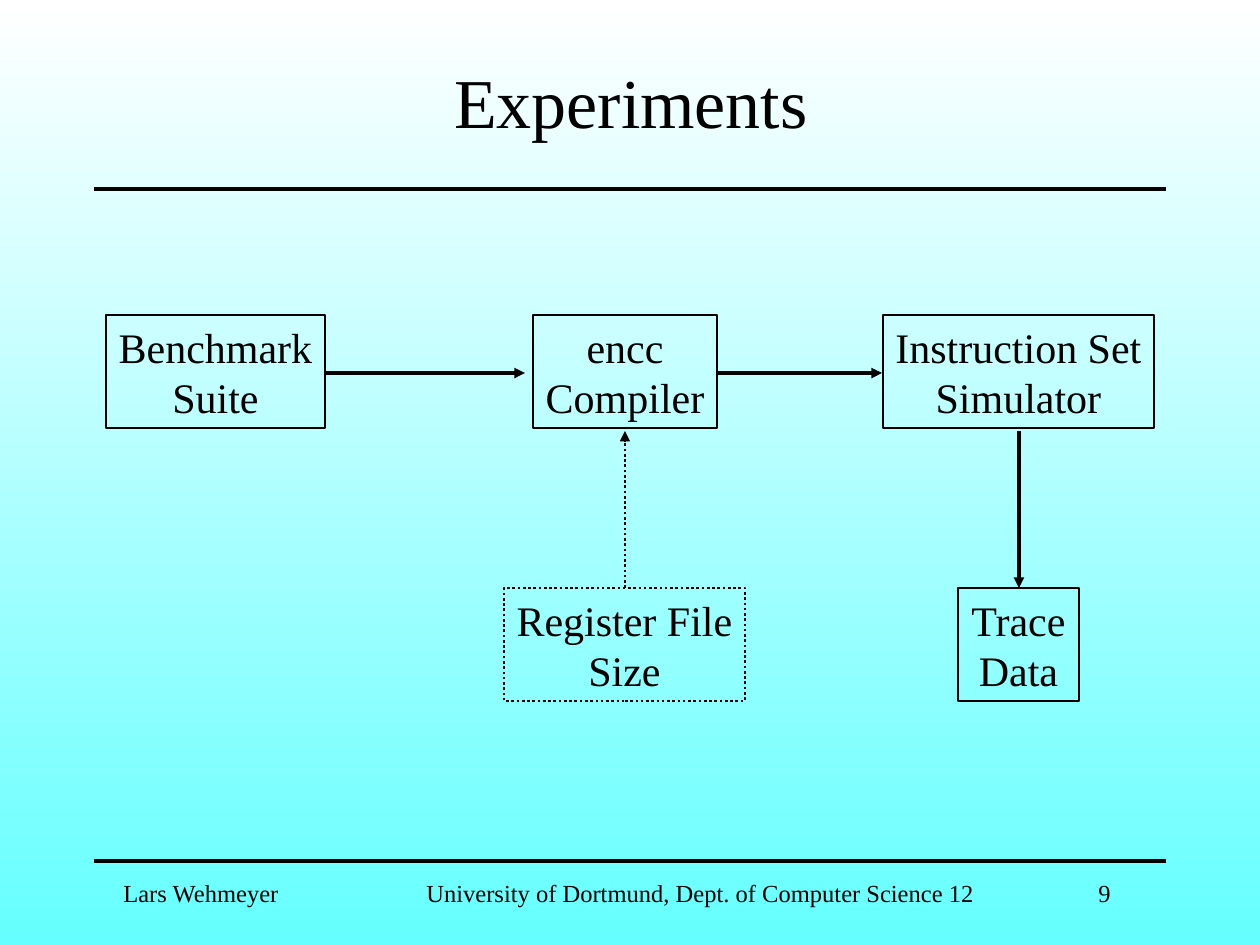
import pptx
import pptx.util
import pptx.dml.color
import pptx.enum.dml
import pptx.enum.shapes
import pptx.enum.text
from dataclasses import dataclass
from lxml import etree

ALIGN = pptx.enum.text.PP_ALIGN
DASH = pptx.enum.dml.MSO_LINE
SCALE = 914400 / 126  # EMU in one px


@dataclass(frozen=True)
class Theme:
    font: str = "Times New Roman"
    ink: str = "000000"
    top: str = "FFFFFF"
    base: str = "66FFFF"
    head: int = 40
    body: int = 24
    foot: int = 14


def emu(*sizes):
    return [round(size * SCALE) for size in sizes]


def rgb(code):
    return pptx.dml.color.RGBColor.from_string(code)


def write(frame, text, *, size, font, color, align=ALIGN.LEFT):
    frame.word_wrap = False
    frame.auto_size = pptx.enum.text.MSO_AUTO_SIZE.NONE
    frame.vertical_anchor = pptx.enum.text.MSO_ANCHOR.TOP
    frame.text = text
    for para in frame.paragraphs:
        para.alignment = align
        para.space_before = pptx.util.Pt(0)
        para.font.size = pptx.util.Pt(size)
        para.font.name = font
        para.font.color.rgb = rgb(color)


class Deck:
    def __init__(self, theme):
        self.theme = theme
        self.file = pptx.Presentation()
        self.file.slide_width, self.file.slide_height = emu(1260, 945)
        self.slide = None

    def page(self):
        self.slide = self.file.slides.add_slide(self.file.slide_layouts[5])
        fill = self.slide.background.fill
        fill.gradient()
        fill.gradient_angle = 270
        for stop, code in zip(fill.gradient_stops, (self.theme.top, self.theme.base)):
            stop.color.rgb = rgb(code)

    def style(self, size, align=ALIGN.CENTER):
        return dict(size=size, font=self.theme.font, color=self.theme.ink, align=align)

    def stroke(self, line, width, dash):
        line.color.rgb = rgb(self.theme.ink)
        line.width = pptx.util.Pt(width)
        if dash:
            line.dash_style = dash

    def title(self, text, *place):
        shape = self.slide.shapes.title
        shape.left, shape.top, shape.width, shape.height = emu(*place)
        write(shape.text_frame, text, **self.style(self.theme.head))

    def label(self, text, *place):
        shape = self.slide.shapes.add_textbox(*emu(*place))
        write(shape.text_frame, text, **self.style(self.theme.foot, ALIGN.LEFT))

    def box(self, text, *place, dash=None):
        kind = pptx.enum.shapes.MSO_SHAPE.RECTANGLE
        shape = self.slide.shapes.add_shape(kind, *emu(*place))
        shape.shadow.inherit = False
        shape.fill.background()
        self.stroke(shape.line, 1.5, dash)
        write(shape.text_frame, text, **self.style(self.theme.body))

    def line(self, *ends, width=2, dash=None, arrow=True):
        kind = pptx.enum.shapes.MSO_CONNECTOR.STRAIGHT
        shape = self.slide.shapes.add_connector(kind, *emu(*ends))
        self.stroke(shape.line, width, dash)
        space = "{http://schemas.openxmlformats.org/drawingml/2006/main}"
        props = shape.line._get_or_add_ln()
        if arrow:
            etree.SubElement(props, space + "tailEnd", type="triangle")
        etree.SubElement(props.getparent(), space + "effectLst")


def main():
    deck = Deck(Theme())
    deck.page()

    # Rules and footer
    for y in (189, 861):
        deck.line(94, y, 1166, y, width=2.25, arrow=False)
    for text, x, wide in (
        ("Lars Wehmeyer", 111, 183),
        ("University of Dortmund, Dept. of Computer Science 12", 414, 573),
        ("9", 1086, 127),
    ):
        deck.label(text, x, 872, wide, 43)

    # Title, with room to stay on one line
    deck.title("Experiments", 431, 52, 400, 97)

    # Boxes, in two rows
    upper, lower, tall = 315, 588, 113
    for text, x, y, wide, dash in (
        ("Benchmark\nSuite", 106, upper, 219, None),
        ("encc\nCompiler", 533, upper, 184, None),
        ("Instruction Set\nSimulator", 883, upper, 271, None),
        ("Register File\nSize", 504, lower, 241, DASH.ROUND_DOT),
        ("Trace\nData", 958, lower, 121, None),
    ):
        deck.box(text, x, y, wide, tall, dash=dash)

    # Arrows between the boxes
    mid, under = 373, 431
    deck.line(326, mid, 525, mid)
    deck.line(717, mid, 882, mid)
    deck.line(625, lower, 625, under, width=1.5, dash=DASH.ROUND_DOT)
    deck.line(1019, under, 1019, lower)

    deck.file.save("out.pptx")


if __name__ == "__main__":
    main()
